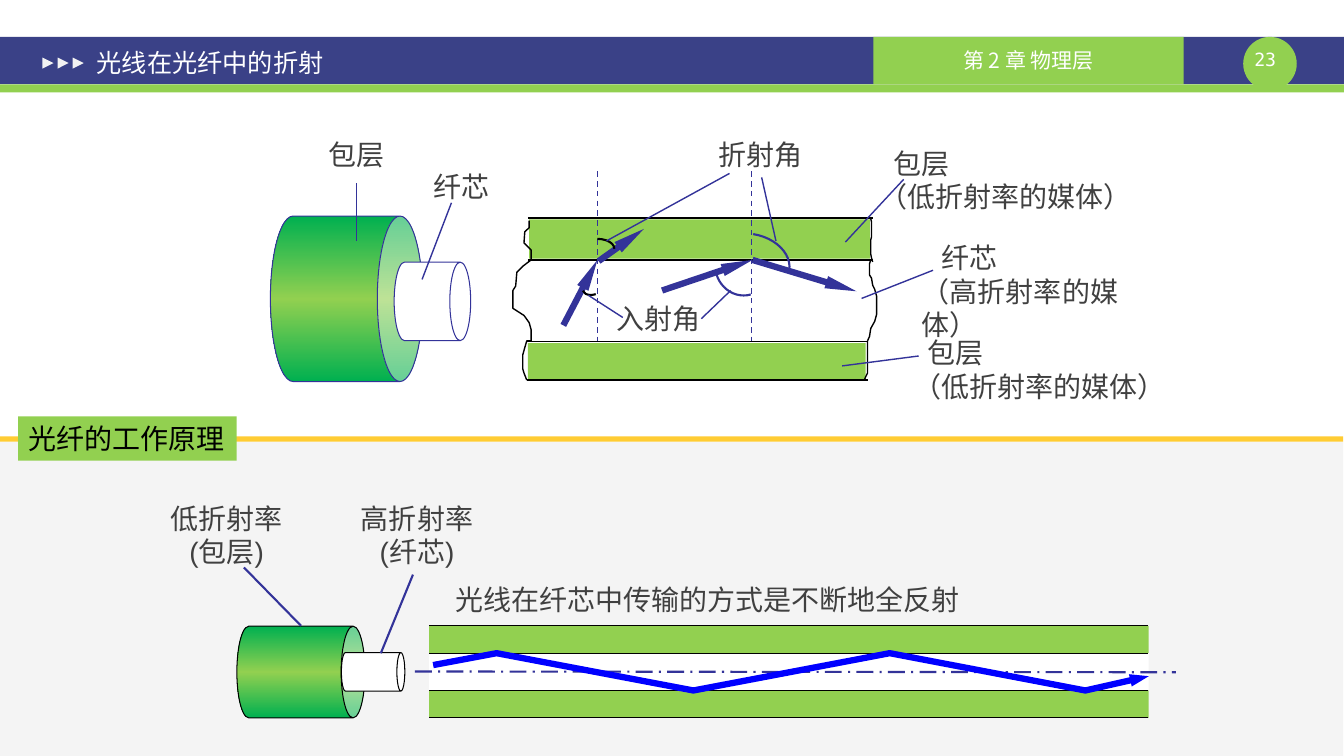
from copy import deepcopy

from lxml import etree
from pptx import Presentation
from pptx.dml.color import RGBColor
from pptx.enum.dml import MSO_LINE
from pptx.enum.shapes import MSO_CONNECTOR, MSO_SHAPE
from pptx.enum.text import MSO_ANCHOR, PP_ALIGN
from pptx.oxml.ns import qn
from pptx.util import Cm, Pt

RECTANGLE, ELLIPSE = MSO_SHAPE.RECTANGLE, MSO_SHAPE.OVAL
TRIANGLE, CAN, ARC = MSO_SHAPE.ISOSCELES_TRIANGLE, MSO_SHAPE.CAN, MSO_SHAPE.ARC
STRAIGHT = MSO_CONNECTOR.STRAIGHT
DASH, AXIS_DASH = MSO_LINE.DASH, MSO_LINE.LONG_DASH_DOT
LEFT, CENTER = PP_ALIGN.LEFT, PP_ALIGN.CENTER
MIDDLE = MSO_ANCHOR.MIDDLE

GREEN, DARK_GREEN, NAVY = "92D050", "00B050", "3A4187"
INDIGO, BLACK, WHITE, GRAY = "333399", "000000", "FFFFFF", "404040"
LATIN, CHINESE, MONO = "Arial", "Noto Sans CJK SC", "DejaVu Sans Mono"

LEFT_EDGE = [
    (13.34, 5.56), (13.34, 5.74), (13.23, 5.84), (13.21, 6.12), (13.39, 6.3),
    (13.39, 6.55), (13.18, 6.71), (13.03, 6.86), (13, 7.21), (12.93, 7.32),
    (12.93, 7.77), (13.21, 7.95), (13.34, 8.13), (13.39, 8.31), (13.39, 8.59),
    (13.28, 8.59), (13.23, 8.76), (13.18, 8.94), (13.18, 9.3), (13.21, 9.4), (13.28, 9.58)]
RIGHT_EDGES = [
    [(21.95, 5.51), (21.97, 5.59), (21.97, 5.97), (21.95, 6.05), (21.95, 6.4),
     (21.97, 6.5), (22, 6.6)],
    [(21.95, 6.55), (21.92, 6.65), (21.92, 6.93), (21.97, 7.01), (22, 7.19),
     (22.05, 7.29), (22.1, 7.47), (22.1, 7.92), (22.05, 8.1), (21.95, 8.28),
     (21.92, 8.48), (21.87, 8.59)],
    [(21.87, 8.59), (21.87, 9.4), (21.82, 9.5), (21.79, 9.58)]]
RAY = [(10.92, 16.76), (12.52, 16.46), (17.48, 17.4), (22.43, 16.46), (27.36, 17.4),
       (28.96, 17.04)]


def rgb(code):
    return RGBColor.from_string(code)


def paint(shape, fill=None, line=None, width=0.75):
    shape.shadow.inherit = False
    if fill:
        shape.fill.solid()
        shape.fill.fore_color.rgb = rgb(fill)
    else:
        shape.fill.background()
    if line:
        shape.line.color.rgb = rgb(line)
        shape.line.width = Pt(width)
    else:
        shape.line.fill.background()


def add_preset(slide, kind, box, fill=None, line=None, width=0.75, rotation=0, opacity=None):
    shape = slide.shapes.add_shape(kind, *map(Cm, box))
    paint(shape, fill, line, width)
    shape.rotation = rotation
    if opacity:
        color = shape._element.spPr.find(qn("a:solidFill"))[0]
        etree.SubElement(color, qn("a:alpha"), val=str(opacity * 1000))
    return shape


def add_can(slide, box, lid, line, gradient=False):
    shape = add_preset(slide, CAN, box, WHITE, line, rotation=90)
    shape.adjustments[0] = lid
    if gradient:
        shape.fill.gradient()
        shape.fill.gradient_angle = 0
        stop_list = shape._element.spPr.find(".//" + qn("a:gsLst"))
        stop_list.append(deepcopy(stop_list[0]))
        colors = (DARK_GREEN, GREEN, DARK_GREEN)
        for index, stop in enumerate(shape.fill.gradient_stops):
            stop.position = index / 2
            stop.color.rgb = rgb(colors[index])


def add_arc(slide, center_x, center_y, radius_x, radius_y, rotation, color):
    box = (center_x - radius_x, center_y - radius_y, 2 * radius_x, 2 * radius_y)
    add_preset(slide, ARC, box, line=color, width=1.5, rotation=rotation)


def add_arrowhead(shape, length):
    outline = shape._element.spPr.find(qn("a:ln"))
    etree.SubElement(outline, qn("a:tailEnd"), type="triangle", w="sm", len=length)


def add_line(slide, ends, color=INDIGO, width=1, dash=None, arrow=False):
    connector = slide.shapes.add_connector(STRAIGHT, *map(Cm, ends))
    connector.line.color.rgb = rgb(color)
    connector.line.width = Pt(width)
    if dash:
        connector.line.dash_style = dash
    if arrow:
        add_arrowhead(connector, "lg")
    etree.SubElement(connector._element.spPr, qn("a:effectLst"))


def add_polyline(slide, points, color, width):
    corners = [(Cm(x), Cm(y)) for x, y in points]
    builder = slide.shapes.build_freeform(*corners[0], scale=1.0)
    builder.add_line_segments(corners[1:], close=False)
    shape = builder.convert_to_shape()
    paint(shape, line=color, width=width)
    return shape


def write(frame, lines, font=LATIN, size=20, color=GRAY, align=LEFT, indent=0):
    for index, line in enumerate(lines):
        paragraph = frame.add_paragraph() if index else frame.paragraphs[0]
        paragraph.alignment = align
        if indent and index == 0:
            paragraph._p.get_or_add_pPr().set("indent", str(Cm(indent)))
        run = paragraph.add_run()
        run.text = line
        run.font.size = Pt(size)
        run.font.color.rgb = rgb(color)
        run.font.name = font
        etree.SubElement(run._r.get_or_add_rPr(), qn("a:ea"), typeface=font)


def set_margins(frame, horizontal, vertical):
    frame.margin_left = frame.margin_right = Cm(horizontal)
    frame.margin_top = frame.margin_bottom = Cm(vertical)


def add_label(slide, box, lines, wrap=False, **style):
    label = slide.shapes.add_textbox(*map(Cm, box))
    label.text_frame.word_wrap = wrap
    write(label.text_frame, lines, **style)
    return label


def draw_header(slide):
    add_preset(slide, RECTANGLE, (0, 0.93, 33.88, 1.19), NAVY)
    add_preset(slide, RECTANGLE, (0, 2.13, 33.88, 0.2), GREEN)
    add_preset(slide, ELLIPSE, (31.34, 0.93, 1.35, 1.35), GREEN)
    number = add_label(slide, (31.22, 1.22, 1.35, 0.56), ["23"], wrap=True,
                       font=MONO, size=13, color=WHITE, align=CENTER)
    set_margins(number.text_frame, 0, 0)
    chapter = add_preset(slide, RECTANGLE, (22.02, 0.93, 7.82, 1.19), GREEN)
    chapter.text_frame.vertical_anchor = MIDDLE
    write(chapter.text_frame, ["第 2 章 物理层"], CHINESE, 15, WHITE, CENTER)
    for index in range(3):
        add_preset(slide, TRIANGLE, (1.07 + 0.38 * index, 1.45, 0.28, 0.28), "F2F2F2", rotation=90)

    title = slide.shapes.title
    title.left, title.top, title.width, title.height = map(Cm, (2.16, 0.99, 14.81, 1.19))
    title.text_frame.vertical_anchor = MIDDLE
    set_margins(title.text_frame, 0.28, 0.15)
    write(title.text_frame, ["光线在光纤中的折射"], size=18, color=WHITE)
    slide.shapes._spTree.append(title._element)


def draw_refraction(slide):
    for left, right, top, bottom in ((13.31, 22, 5.49, 6.55), (13.28, 21.89, 8.61, 9.58)):
        add_preset(slide, RECTANGLE, (left + 0.03, top + 0.04, right - left - 0.1, bottom - top - 0.07), GREEN)
        for y in (top, bottom):
            add_line(slide, (left, y, right, y), BLACK)
    for x in (15.06, 18.95):
        add_line(slide, (x, 4.32, x, 8.59), dash=DASH)
    for ray in ((15.09, 6.58, 16.23, 5.77), (14.2, 8.2, 15.06, 6.55),
                (16.69, 7.32, 18.97, 6.55), (18.97, 6.55, 21.59, 7.34)):
        add_line(slide, ray, width=4.5, arrow=True)
    add_arc(slide, 14.96, 7.24, 0.28, 0.18, 162, BLACK)
    add_arc(slide, 15.06, 6.27, 0.43, 0.25, 0, BLACK)
    add_arc(slide, 18.72, 6.71, 0.69, 0.74, 164, INDIGO)
    add_arc(slide, 18.87, 6.65, 1.04, 0.76, 9, INDIGO)
    for edge in [LEFT_EDGE] + RIGHT_EDGES:
        add_polyline(slide, edge, BLACK, 1)
    add_can(slide, (6.65, 5.61, 4.17, 3.84), 0.298, INDIGO, gradient=True)
    add_can(slide, (9.91, 6.63, 1.98, 1.93), 0.273, INDIGO)
    for leader in ((19.2, 4.47, 19.56, 6.07), (15.29, 6.07, 18.39, 4.37),
                   (14.83, 7.44, 15.7, 8), (17.68, 8.03, 18.42, 7.32),
                   (21.72, 7.52, 23.52, 6.81), (22.78, 4.52, 21.31, 6.1),
                   (23.16, 8.97, 21.23, 9.22), (8.99, 4.62, 8.99, 6.07),
                   (11.38, 5.11, 10.64, 7.04)):
        add_line(slide, leader)
    add_label(slide, (17.86, 3.33, 2.64, 1.09), ["折射角"])
    add_label(slide, (15.29, 7.47, 3.23, 1.09), ["入射角"])
    add_label(slide, (8.03, 3.33, 1.93, 1.12), ["包层"])
    add_label(slide, (10.67, 4.14, 2.06, 1.12), ["纤芯"])
    for left, top in ((21.92, 3.56), (22.78, 8.33)):
        add_label(slide, (left, top, 6.93, 1.96), ["包层", "（低折射率的媒体）"], indent=0.36)
    add_label(slide, (22.99, 5.94, 6.3, 1.96), ["纤芯", "（高折射率的媒体）"], wrap=True, indent=0.5)


def draw_principle(slide):
    add_preset(slide, RECTANGLE, (0, 11.13, 33.86, 7.92), "F2F2F2", opacity=80)
    add_preset(slide, RECTANGLE, (0, 11, 33.86, 0.13), "FFC000", opacity=80)
    for top, height, color in ((15.77, 0.69, GREEN), (16.46, 0.94, WHITE), (17.4, 0.69, GREEN)):
        add_preset(slide, RECTANGLE, (10.82, top, 18.14, height), color)
    add_can(slide, (6.43, 15.32, 2.31, 3.23), 0.26, BLACK, gradient=True)
    add_can(slide, (8.92, 16.13, 0.97, 1.6), 0.207, BLACK)
    for y in (15.77, 16.46, 17.4, 18.08):
        add_line(slide, (10.82, y, 28.93, y), BLACK, 0.75)
    add_line(slide, (10.46, 16.92, 29.64, 16.94), width=1.5, dash=AXIS_DASH)
    for left, words in ((8.84, ["高折射率", "(纤芯)"]), (4.04, ["低折射率", "(包层)"])):
        add_label(slide, (left, 12.5, 3.35, 1.96), words, align=CENTER)
    for leader in ((10.41, 14.48, 9.6, 16.46), (6.15, 14.3, 7.59, 15.77)):
        add_line(slide, leader, width=1.5)
    add_label(slide, (11.23, 14.55, 13.34, 1.12), ["光线在纤芯中传输的方式是不断地全反射"])
    add_arrowhead(add_polyline(slide, RAY, "0000FF", 4.5), "med")
    heading = add_label(slide, (0.46, 10.49, 5.51, 1.12), ["光纤的工作原理"], font=CHINESE, color=BLACK)
    heading.fill.solid()
    heading.fill.fore_color.rgb = rgb(GREEN)


def main():
    presentation = Presentation()
    presentation.slide_width, presentation.slide_height = Cm(33.88), Cm(19.05)
    slide = presentation.slides.add_slide(presentation.slide_layouts[5])
    draw_header(slide)
    draw_refraction(slide)
    draw_principle(slide)
    presentation.save("out.pptx")


if __name__ == "__main__":
    main()
